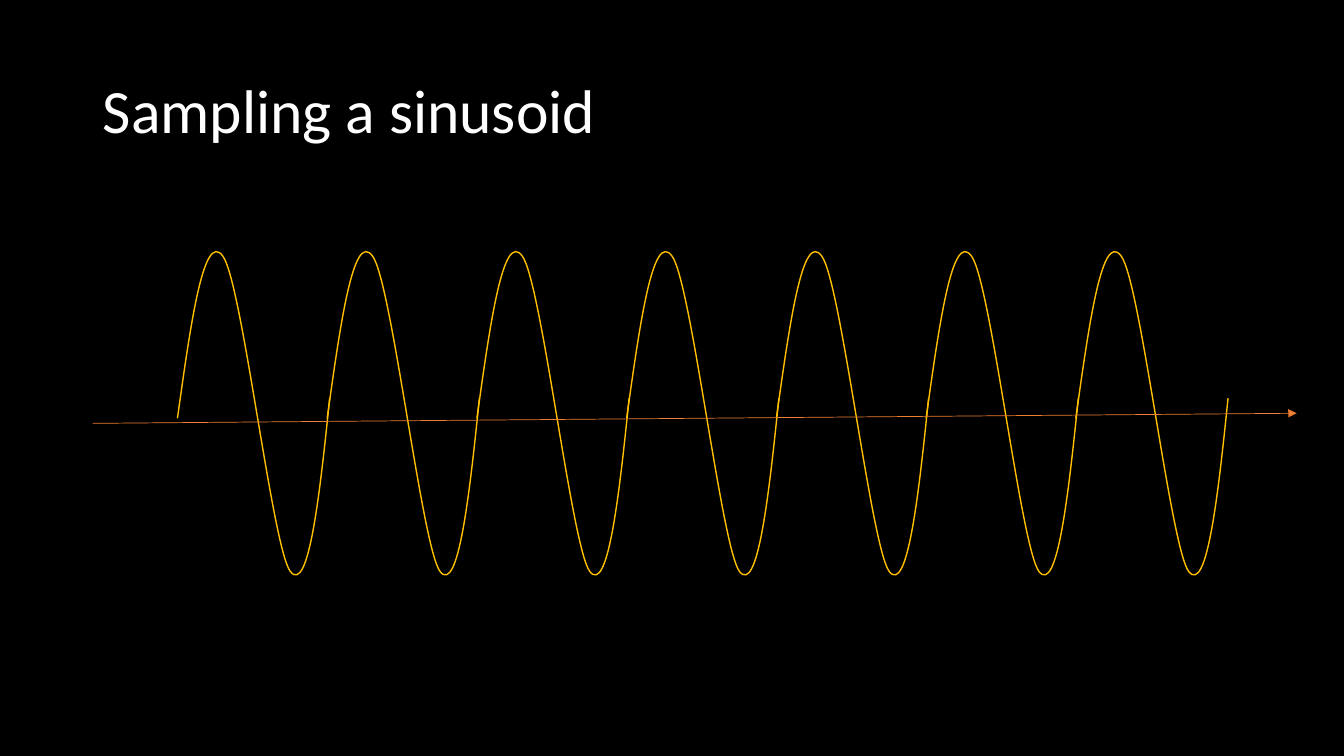
from lxml import etree
from pptx import Presentation
from pptx.dml.color import RGBColor
from pptx.enum.shapes import MSO_CONNECTOR
from pptx.enum.text import MSO_ANCHOR, PP_ALIGN
from pptx.oxml.ns import qn
from pptx.util import Inches, Pt

STRAIGHT = MSO_CONNECTOR.STRAIGHT
MIDDLE = MSO_ANCHOR.MIDDLE
LEFT = PP_ALIGN.LEFT
TITLE_ONLY = 5

COLORS = {"background": "000000", "title": "FFFFFF", "wave": "FFC000", "axis": "ED7D31"}
FONT = "Calibri"

CYCLES = 7
FIRST_X, LAST_X = 1.76, 10.67
WAVE_TOP = 2.49
CYCLE_WIDTH, CYCLE_HEIGHT = 1.51, 3.21
# Start and Bezier segments of one cycle, from the corner of its box
CYCLE_START = (0, 1.66)
CYCLE_CURVES = [
    [(0.13, 0.73), (0.26, -0.21), (0.45, 0.05)],
    [(0.64, 0.3), (0.94, 2.94), (1.12, 3.18)],
    [(1.3, 3.41), (1.41, 2.44), (1.51, 1.46)],
]


def color(name):
    return RGBColor.from_string(COLORS[name])


def apply(target, values):
    for name, value in values.items():
        setattr(target, name, value)


class SlideBuilder:
    def __init__(self, deck):
        self.page = deck.slides.add_slide(deck.slide_layouts[TITLE_ONLY])
        fill = self.page.background.fill
        fill.solid()
        fill.fore_color.rgb = color("background")

    def title(self, text, left, top, width, height):
        box = self.page.shapes.title
        apply(box, {"left": Inches(left), "top": Inches(top),
                    "width": Inches(width), "height": Inches(height)})
        frame = box.text_frame
        apply(frame, {"text": text, "word_wrap": True, "vertical_anchor": MIDDLE})
        para = frame.paragraphs[0]
        apply(para, {"alignment": LEFT, "line_spacing": 0.9})
        span = para.runs[0]
        apply(span.font, {"name": FONT, "size": Pt(44)})
        span.font.color.rgb = color("title")

    def line_style(self, shape, name, width):
        shape.line.color.rgb = color(name)
        shape.line.width = Pt(width)

    def curve_outline(self, shape, start, curves):
        """Give a freeform a new outline of cubic Bezier curves."""
        outline = shape._element.spPr.find(".//" + qn("a:path"))
        for child in list(outline):
            outline.remove(child)
        steps = [("a:moveTo", [start])] + [("a:cubicBezTo", curve) for curve in curves]
        for tag, points in steps:
            step = etree.SubElement(outline, qn(tag))
            for x, y in points:
                etree.SubElement(step, qn("a:pt"), x=str(Inches(x)), y=str(Inches(y)))

    def wave_cycle(self, group, left, top):
        # The diagonal sets the size of the box
        builder = group.shapes.build_freeform(Inches(left), Inches(top))
        corner = (Inches(left + CYCLE_WIDTH), Inches(top + CYCLE_HEIGHT))
        builder.add_line_segments([corner], close=False)
        cycle = builder.convert_to_shape()
        self.curve_outline(cycle, CYCLE_START, CYCLE_CURVES)
        cycle.fill.background()
        cycle.shadow.inherit = False
        self.line_style(cycle, "wave", 1)

    def wave(self):
        group = self.page.shapes.add_group_shape()
        period = (LAST_X - FIRST_X) / (CYCLES - 1)
        for index in range(CYCLES):
            self.wave_cycle(group, FIRST_X + index * period, WAVE_TOP)

    def arrow(self, start, end):
        axis = self.page.shapes.add_connector(STRAIGHT, *map(Inches, (*start, *end)))
        self.line_style(axis, "axis", 0.5)
        etree.SubElement(axis.line._get_or_add_ln(), qn("a:tailEnd"), type="triangle")
        etree.SubElement(axis._element.spPr, qn("a:effectLst"))


def main():
    deck = Presentation()
    apply(deck, {"slide_width": Inches(13.33), "slide_height": Inches(7.5)})
    slide = SlideBuilder(deck)

    # Title
    slide.title("Sampling a sinusoid", 0.92, 0.4, 11.5, 1.45)

    # Sinusoid and its time axis
    slide.wave()
    slide.arrow((0.92, 4.2), (12.86, 4.1))

    deck.save("out.pptx")


if __name__ == "__main__":
    main()
